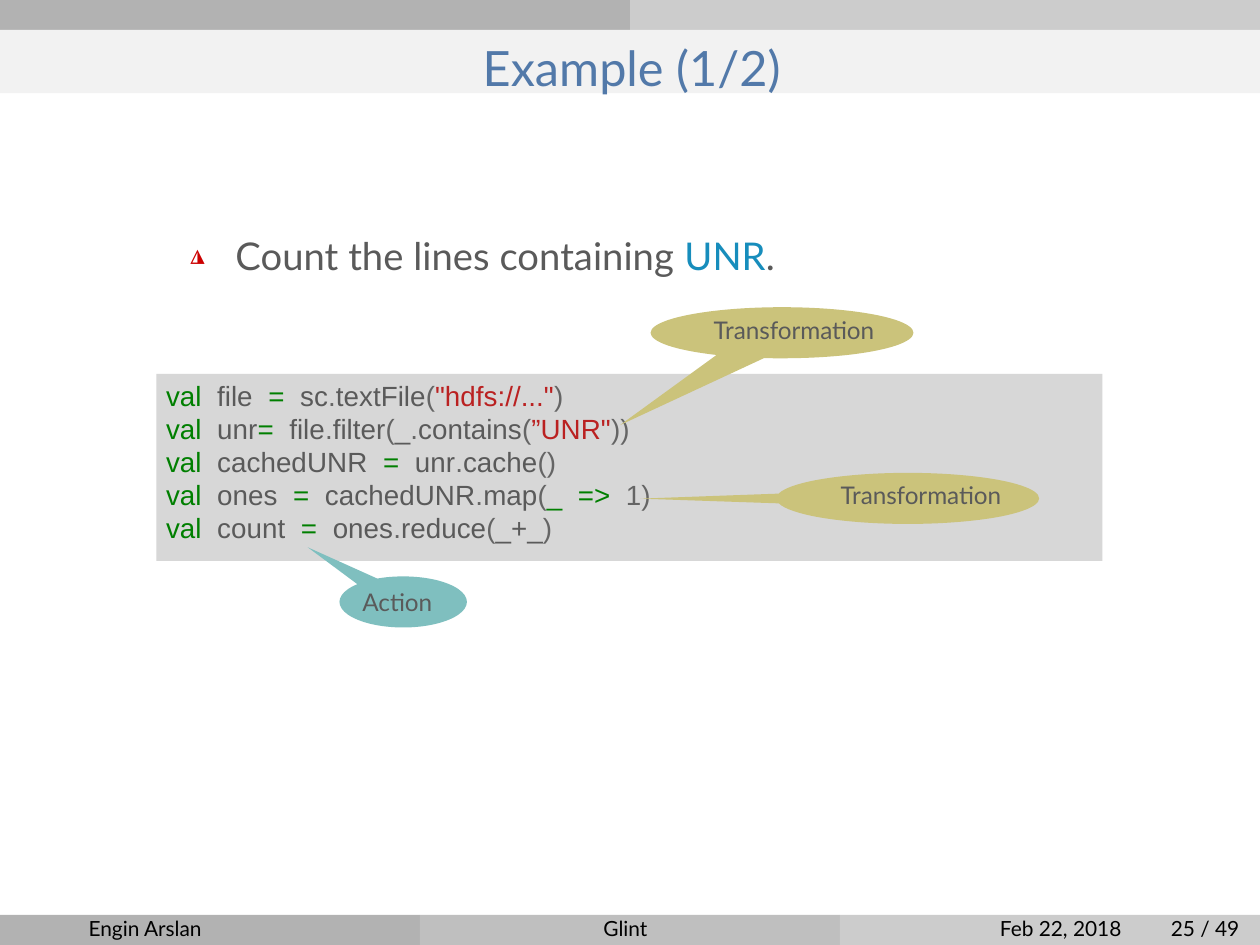
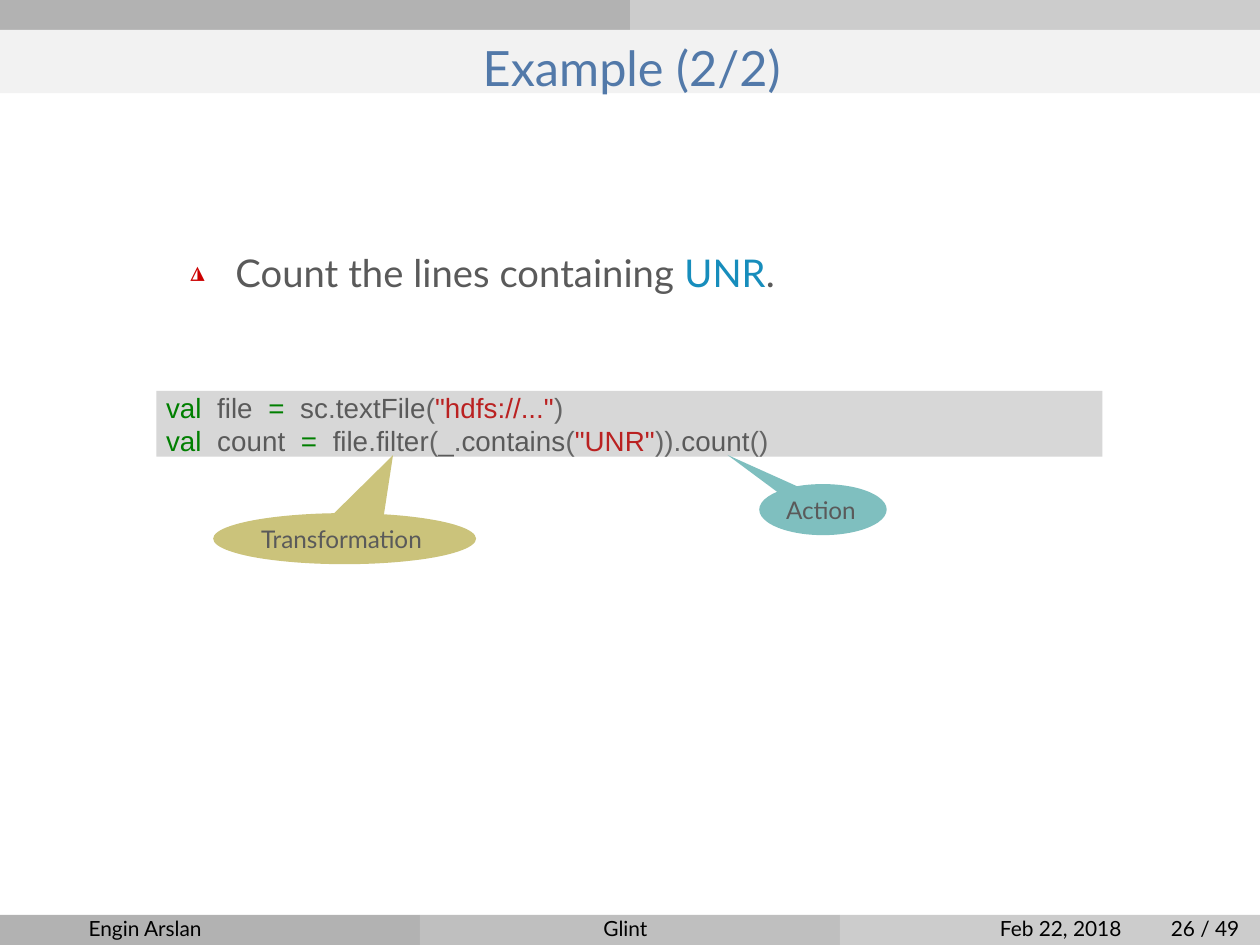
from dataclasses import dataclass
from typing import NamedTuple

from lxml.etree import SubElement
from pptx import Presentation
from pptx.dml.color import RGBColor
from pptx.enum.shapes import MSO_SHAPE
from pptx.enum.text import MSO_ANCHOR, MSO_AUTO_SIZE, PP_ALIGN
from pptx.oxml.ns import qn
from pptx.util import Pt


@dataclass(frozen=True)
class Theme:
    """Colours, fonts, type sizes and page measures of the deck."""

    width: float = 362.88
    height: float = 272.16
    band: float = 8.64
    title_band: float = 18.2
    sans: str = "Lato"
    code_font: str = "Arial"
    bullet_font: str = "DejaVu Sans Mono"
    title_size: float = 14
    body_size: float = 11
    code_size: float = 8
    label_size: float = 7
    footer_size: float = 6
    title: str = "5279A9"
    body: str = "5A5A5A"
    accent: str = "178DBC"
    bullet: str = "CC0000"
    keyword: str = "007F00"
    mark: str = "656565"
    string: str = "BA2121"
    footer: str = "000000"
    dark: str = "B2B2B2"
    medium: str = "BFBFBF"
    light: str = "CCCCCC"
    pale: str = "F2F2F2"
    code_fill: str = "D7D7D7"
    transformation: str = "CBC37B"
    action: str = "7FBFBF"


THEME = Theme()


class Box(NamedTuple):
    """A rectangle in points."""

    left: float
    top: float
    width: float
    height: float


class Token(NamedTuple):
    """A coloured piece of code, with a wide gap after it or not."""

    text: str
    color: str
    gap: bool = False


class Callout(NamedTuple):
    """An oval label whose wedge ends at a tip; shifts move its text."""

    text: str
    fill: str
    box: Box
    tip: tuple[float, float]
    shift_right: float = 0
    shift_up: float = 0


class Example(NamedTuple):
    """The content of one slide."""

    title: str
    number: str
    body_top: float
    code_box: Box
    code_inset: float
    code: list[list[Token]]
    callouts: list[Callout]


def name(text: str) -> Token:
    """Return an identifier."""
    return Token(text, THEME.body)


def mark(text: str) -> Token:
    """Return punctuation."""
    return Token(text, THEME.mark)


def string(text: str) -> Token:
    """Return a string literal."""
    return Token(text, THEME.string)


def keyword(text: str) -> Token:
    """Return a keyword or operator followed by a gap."""
    return Token(text, THEME.keyword, True)


def assign(target: str, gap: bool = True) -> list[Token]:
    """Return the start of a value definition."""
    return [keyword("val"), Token(target, THEME.body, gap), keyword("=")]


def call(owner: str, method: str) -> list[Token]:
    """Return a method call up to its opening bracket."""
    return [name(owner), mark("."), name(method), mark("(")]


def filter_lines(literal: str) -> list[Token]:
    """Return the filter on lines that contain a literal."""
    return [*call("file", "filter"), *call("_", "contains"), string(literal)]


def transformation(left: float, top: float, tip: tuple[float, float],
                   shift_right: float, shift_up: float = 0) -> Callout:
    """Return a callout that names a transformation."""
    return Callout("Transformation", THEME.transformation,
                   Box(left, top, 75.7, 14.7), tip, shift_right, shift_up)


def action(left: float, top: float, shift_right: float) -> Callout:
    """Return a callout that names an action, its tip to the upper left."""
    return Callout("Action", THEME.action, Box(left, top, 36.7, 14.7),
                   (left - 9.2, top - 8.4), shift_right)


OPEN_FILE = [*assign("file"), *call("sc", "textFile"), string('"hdfs://..."'), mark(")")]

EXAMPLES = [
    Example(
        "Example (1/2)", "25 / 49", 67, Box(45, 107.7, 272.5, 53.9), 1.5,
        [
            OPEN_FILE,
            [*assign("unr", gap=False), *filter_lines('”UNR"'), mark("))")],
            [*assign("cachedUNR"), *call("unr", "cache"), mark(")")],
            [*assign("ones"), *call("cachedUNR", "map"), keyword("_"), keyword("=>"),
             mark("1)")],
            [*assign("count"), *call("ones", "reduce"), name("_+_"), mark(")")],
        ],
        [
            transformation(187.4, 88.5, (178.6, 122.4), 3.4, 1),
            transformation(223.6, 136.2, (184.4, 143.6), 3.8, 1),
            action(97.8, 166, -1.7),
        ],
    ),
    Example(
        "Example (2/2)", "26 / 49", 71.9, Box(45, 112.6, 272.5, 19), 0,
        [
            OPEN_FILE,
            [*assign("count"), *filter_lines('"UNR"'), mark("))."), name("count"),
             mark("()")],
        ],
        [
            transformation(61.4, 147.8, (113.2, 131.1), -0.9),
            action(218.7, 139.4, -0.6),
        ],
    ),
]

FOOTERS = [("Engin Arslan", 25.5), ("Glint", 173.8), ("Feb 22, 2018", 288)]
NUMBER_LEFT = 337.2


def add_span(para, text: str, *, size: float, color: str, font: str = THEME.sans,
             spacing: float = 0):
    """Add formatted text to a paragraph."""
    span = para.add_run()
    span.text = text
    span.font.size = Pt(size)
    span.font.name = font
    span.font.color.rgb = RGBColor.from_string(color)
    if spacing:
        span._r.get_or_add_rPr().set("spc", str(round(spacing * 100)))


def place(shape, box: Box) -> None:
    """Move a shape to a box."""
    shape.left, shape.top, shape.width, shape.height = (Pt(value) for value in box)


def set_frame(shape, *, left: float = 0, top: float = 0, right: float = 0,
              bottom: float = 0, wrap: bool = False, anchor=MSO_ANCHOR.TOP):
    """Set the insets, wrapping and anchor of a text frame and return it."""
    frame = shape.text_frame
    frame.margin_left, frame.margin_top = Pt(left), Pt(top)
    frame.margin_right, frame.margin_bottom = Pt(right), Pt(bottom)
    frame.auto_size = MSO_AUTO_SIZE.NONE
    frame.word_wrap = wrap
    frame.vertical_anchor = anchor
    return frame


def add_filled(page, kind, box: Box, color: str):
    """Add a flat preset shape without outline."""
    shape = page.shapes.add_shape(kind, *(Pt(value) for value in box))
    shape.shadow.inherit = False
    shape.fill.solid()
    shape.fill.fore_color.rgb = RGBColor.from_string(color)
    shape.line.fill.background()
    return shape


def move_bands_to_layout(page) -> None:
    """Draw the bands once and hand them to the layout of the page."""
    rows = [
        (0, THEME.band, [THEME.dark, THEME.light]),
        (THEME.band, THEME.title_band, [THEME.pale]),
        (THEME.height - THEME.band, THEME.band, [THEME.dark, THEME.medium, THEME.light]),
    ]
    for top, height, colors in rows:
        width = THEME.width / len(colors)
        for index, color in enumerate(colors):
            band = add_filled(page, MSO_SHAPE.RECTANGLE,
                              Box(index * width, top, width, height), color)
            page.slide_layout.shapes.element.append(band.element)


def add_title(page, text: str) -> None:
    """Fill the title placeholder."""
    title = page.shapes.title
    place(title, Box(4, 10.8, 356, 16.6))
    para = set_frame(title, wrap=True).paragraphs[0]
    para.alignment = PP_ALIGN.CENTER
    add_span(para, text, size=THEME.title_size, color=THEME.title)


def add_bullet(para, indent: float) -> None:
    """Give a paragraph the triangle bullet and a hanging indent."""
    properties = para._p.get_or_add_pPr()
    properties.set("marL", str(Pt(indent)))
    properties.set("indent", str(-Pt(indent)))
    color = SubElement(properties, qn("a:buClr"))
    SubElement(color, qn("a:srgbClr"), val=THEME.bullet)
    SubElement(properties, qn("a:buSzPct"), val="63000")
    SubElement(properties, qn("a:buFont"), typeface=THEME.bullet_font)
    SubElement(properties, qn("a:buChar"), char="◮")


def add_body(page, top: float) -> None:
    """Fill the body placeholder with the task."""
    body = page.placeholders[1]
    place(body, Box(54.8, top, 205, 14.4))
    para = set_frame(body, wrap=True).paragraphs[0]
    para.space_before = Pt(0)
    add_bullet(para, 13)
    for text, color in [("Count the lines containing ", THEME.body),
                        ("UNR", THEME.accent), (".", THEME.body)]:
        add_span(para, text, size=THEME.body_size, color=color)


def add_code(page, box: Box, inset: float, lines: list[list[Token]]) -> None:
    """Add a grey panel with coloured code."""
    panel = add_filled(page, MSO_SHAPE.RECTANGLE, box, THEME.code_fill)
    frame = set_frame(panel, left=2.8, top=inset)
    for index, line in enumerate(lines):
        para = frame.add_paragraph() if index else frame.paragraphs[0]
        para.alignment = PP_ALIGN.LEFT
        para.line_spacing = Pt(9.5)
        for token in line:
            style = dict(size=THEME.code_size, color=token.color, font=THEME.code_font)
            add_span(para, token.text, **style)
            if token.gap:
                add_span(para, " ", spacing=2.2, **style)


def add_callout(page, callout: Callout) -> None:
    """Add an oval callout with its label."""
    box = callout.box
    shape = add_filled(page, MSO_SHAPE.OVAL_CALLOUT, box, callout.fill)
    shape.adjustments[0] = (callout.tip[0] - box.left) / box.width - 0.5
    shape.adjustments[1] = (callout.tip[1] - box.top) / box.height - 0.5
    frame = set_frame(shape, left=max(0, 2 * callout.shift_right),
                      right=max(0, -2 * callout.shift_right),
                      bottom=2 * callout.shift_up, anchor=MSO_ANCHOR.MIDDLE)
    para = frame.paragraphs[0]
    para.alignment = PP_ALIGN.CENTER
    add_span(para, callout.text, size=THEME.label_size, color=THEME.body)


def add_footers(page, number: str) -> None:
    """Add the footer texts and the page number."""
    for text, left in [*FOOTERS, (number, NUMBER_LEFT)]:
        box = page.shapes.add_textbox(Pt(left), Pt(263.7), Pt(40), Pt(7.2))
        para = set_frame(box).paragraphs[0]
        add_span(para, text, size=THEME.footer_size, color=THEME.footer)


def main() -> None:
    """Build and save the deck."""
    deck = Presentation()
    deck.slide_width, deck.slide_height = Pt(THEME.width), Pt(THEME.height)
    layout = deck.slide_layouts[1]
    for index, example in enumerate(EXAMPLES):
        page = deck.slides.add_slide(layout)
        if index == 0:
            move_bands_to_layout(page)
        add_title(page, example.title)
        add_body(page, example.body_top)
        add_code(page, example.code_box, example.code_inset, example.code)
        for callout in example.callouts:
            add_callout(page, callout)
        add_footers(page, example.number)
    deck.save("out.pptx")


if __name__ == "__main__":
    main()
